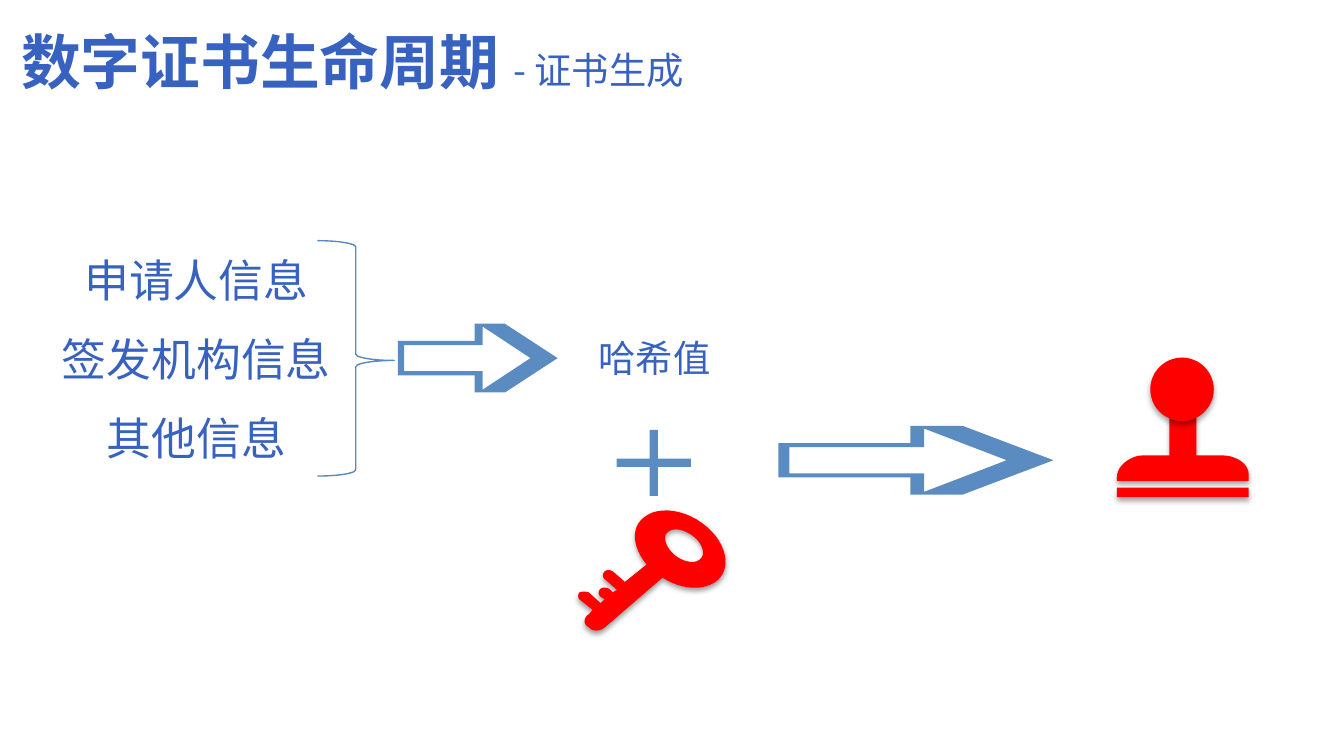
from lxml.etree import SubElement
from pptx import Presentation
from pptx.dml.color import RGBColor
from pptx.enum.shapes import MSO_SHAPE as Preset
from pptx.enum.text import MSO_ANCHOR as Anchor, PP_ALIGN as Align
from pptx.oxml.ns import qn
from pptx.util import Cm, Pt

COLORS = {"text": "3862C0", "arrow": "5B8CC1", "brace": "5689BF",
          "red": "FF0000", "white": "FFFFFF", "shadow": "000000"}
CJK = "Noto Sans CJK SC"

# Outlines in cm: a pair is a corner, six numbers are a Bézier curve.
KEY_BODY = [
    (12.52, 10.92), (11.43, 11.86),
    (11.33, 11.94, 11.2, 11.94, 11.13, 11.86),
    (11.02, 11.81, 11.02, 11.68, 11.13, 11.61),
    (11.2, 11.53), (10.95, 11.33),
    (10.92, 11.3, 10.92, 11.23, 10.95, 11.2),
    (11, 11.18, 11.07, 11.18, 11.13, 11.2),
    (11.35, 11.4), (11.43, 11.33), (11.35, 11.28),
    (11.3, 11.23, 11.3, 11.18, 11.35, 11.13),
    (11.38, 11.1, 11.46, 11.1, 11.51, 11.13),
    (11.58, 11.2), (11.66, 11.15), (11.43, 10.95),
    (11.38, 10.9, 11.38, 10.85, 11.43, 10.8),
    (11.46, 10.77, 11.53, 10.77, 11.58, 10.8),
    (11.81, 11), (12.22, 10.67),
    (11.96, 10.36, 11.91, 9.98, 12.17, 9.78),
    (12.45, 9.55, 12.98, 9.63, 13.36, 9.96),
    (13.74, 10.29, 13.82, 10.74, 13.56, 10.97),
    (13.31, 11.18, 12.88, 11.15, 12.52, 10.92),
]
KEY_HOLE = [
    (13.13, 10.16),
    (12.95, 10.01, 12.73, 9.96, 12.62, 10.06),
    (12.52, 10.13, 12.57, 10.34, 12.75, 10.49),
    (12.9, 10.62, 13.13, 10.67, 13.23, 10.57),
    (13.34, 10.49, 13.28, 10.29, 13.13, 10.16),
]
STAMP_BAR = [(21.11, 9.22), (23.6, 9.22), (23.6, 9.4), (21.11, 9.4)]
STAMP_BODY = [
    (23.11, 8.61), (22.61, 8.61), (22.61, 7.85), (22.1, 7.85),
    (22.1, 8.61), (21.59, 8.61),
    (21.39, 8.61, 21.11, 8.79, 21.11, 9.02),
    (21.11, 9.09), (23.6, 9.09), (23.6, 8.97),
    (23.6, 8.74, 23.32, 8.61, 23.11, 8.61),
]
# Block arrow outlines as fractions of the arrow's width and height.
ARROW_OUTER = [(0, 0.75), (0, 0.25), (0.48, 0.25), (0.48, 0), (0.67, 0),
               (1, 0.5), (0.67, 1), (0.48, 1), (0.48, 0.75)]
ARROW_INNER = [(0.04, 0.69), (0.53, 0.69), (0.53, 0.96), (0.83, 0.5),
               (0.53, 0.04), (0.53, 0.31), (0.04, 0.31)]


def color(name):
    return RGBColor.from_string(COLORS[name])


def flatten(outline, steps=12):
    """Turn an outline into corner points in EMU."""
    points = []
    for part in outline:
        if len(part) == 2:
            points.append(part)
            continue
        curve = (points[-1], part[:2], part[2:4], part[4:])
        for step in range(1, steps + 1):
            t = step / steps
            weights = ((1 - t) ** 3, 3 * t * (1 - t) ** 2,
                       3 * t * t * (1 - t), t ** 3)
            points.append(tuple(sum(w * point[axis] for w, point in zip(weights, curve))
                                for axis in (0, 1)))
    return [(Cm(x), Cm(y)) for x, y in points]


def paint(shape, fill):
    shape.shadow.inherit = False
    shape.fill.solid()
    shape.fill.fore_color.rgb = color(fill)
    shape.line.fill.background()


def add_outline(shapes, outlines, fill):
    first, *rest = map(flatten, outlines)
    builder = shapes.build_freeform(*first[0])
    builder.add_line_segments(first[1:])
    for points in rest:
        builder.move_to(*points[0])
        builder.add_line_segments(points[1:])
    shape = builder.convert_to_shape()
    paint(shape, fill)
    return shape


def add_preset(shapes, preset, left, top, width, height, fill):
    shape = shapes.add_shape(preset, Cm(left), Cm(top), Cm(width), Cm(height))
    paint(shape, fill)
    return shape


def drop_shadow(shape, distance, alpha):
    effects = shape._element.spPr.find(qn("a:effectLst"))
    shadow = SubElement(effects, qn("a:outerShdw"), blurRad=str(Pt(3.1)),
                        dist=str(Pt(distance)), dir="5400000", rotWithShape="0")
    tint = SubElement(shadow, qn("a:srgbClr"), val=COLORS["shadow"])
    SubElement(tint, qn("a:alpha"), val=str(alpha * 1000))


def style(para, face, size=None):
    font = para.font
    font.name = face
    font.color.rgb = color("text")
    if size:
        font.size = Pt(size)
    SubElement(font._element, qn("a:ea"), typeface=CJK)


def write_centred(shape, text, face, size):
    frame = shape.text_frame
    frame.word_wrap = True
    frame.vertical_anchor = Anchor.MIDDLE
    para = frame.paragraphs[0]
    para.alignment = Align.CENTER
    para.add_run().text = text
    style(para, face, size)


def add_title(page):
    box = page.shapes.add_textbox(Cm(0.15), Cm(0.63), Cm(14.33), Cm(1.24))
    frame = box.text_frame
    frame.word_wrap = True
    frame.margin_top = frame.margin_bottom = 0
    para = frame.paragraphs[0]
    para.line_spacing = 0.9
    style(para, CJK)
    for text, size, bold in (("数字证书生命周期 ", 32, True), ("- 证书生成", 20, False)):
        span = para.add_run()
        span.text = text
        span.font.size = Pt(size)
        span.font.bold = bold


def add_inputs(page):
    center = 3.71
    rows = (("申请人信息", 5), ("签发机构信息", 6), ("其他信息", 5))
    for index, (text, width) in enumerate(rows):
        box = page.shapes.add_textbox(Cm(center - width / 2), Cm(4.55 + 1.49 * index),
                                      Cm(width), Cm(1.47))
        write_centred(box, text, "Arial", 24)
    brace = add_preset(page.shapes, Preset.RIGHT_BRACE, 6, 4.55, 1.45, 4.45, "white")
    brace.adjustments[0] = 0.083
    brace.adjustments[1] = 0.509
    brace.fill.background()
    brace.line.color.rgb = color("brace")
    brace.line.width = Pt(0.75)


def add_arrow(page, left, top, width, height):
    outlines = [[(left + x * width, top + y * height) for x, y in outline]
                for outline in (ARROW_OUTER, ARROW_INNER)]
    add_outline(page.shapes, outlines, "arrow")


def add_stamp(page):
    group = page.shapes.add_group_shape()
    base = add_outline(group.shapes, [STAMP_BAR, STAMP_BODY], "red")
    knob = add_preset(group.shapes, Preset.OVAL, 21.74, 6.76, 1.2, 1.2, "red")
    for part in (base, knob):
        drop_shadow(part, 1.8, 35)


def main():
    deck = Presentation()
    deck.slide_width, deck.slide_height = Cm(25.4), Cm(14.29)
    page = deck.slides.add_slide(deck.slide_layouts[6])
    add_inputs(page)
    hash_box = add_preset(page.shapes, Preset.ROUNDED_RECTANGLE,
                          10.54, 5.84, 3.66, 1.83, "white")
    write_centred(hash_box, "哈希值", CJK, 20)
    add_arrow(page, 7.52, 6.12, 3.02, 1.3)
    key = add_outline(page.shapes, [KEY_BODY, KEY_HOLE], "red")
    drop_shadow(key, 1.6, 38)
    add_arrow(page, 14.71, 8.05, 5.2, 1.3)
    plus = add_preset(page.shapes, Preset.MATH_PLUS, 11.4, 7.9, 1.91, 1.7, "arrow")
    plus.adjustments[0] = 0.092
    add_stamp(page)
    add_title(page)
    deck.save("out.pptx")


if __name__ == "__main__":
    main()
